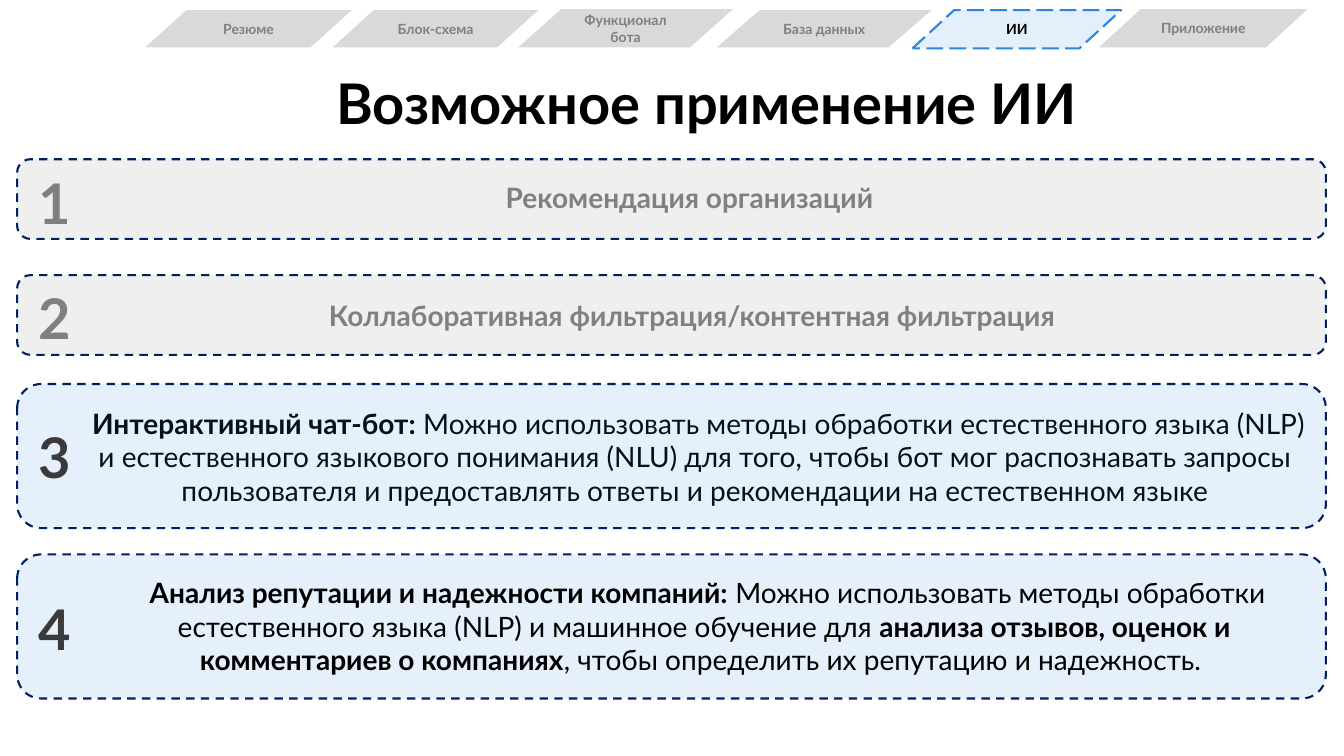
"""Build the slide on possible uses of AI, with its section tabs and four numbered cards."""
from dataclasses import dataclass
from typing import Optional

from lxml import etree
from pptx import Presentation
from pptx import util as u
from pptx.dml import color
from pptx.enum import dml, shapes, text
from pptx.oxml import ns

FONT = "Lato"
BLACK, GRAY, DARK, NAVY, BLUE, SILVER = "000000", "808080", "3A3A3A", "002060", "2D86DC", "D9D9D9"
CARD_LEFT, CARD_WIDTH = 0.17, 12.98
NUMBER_LEFT, NUMBER_WIDTH, NUMBER_HEIGHT = 0.28, 0.53, 0.77


@dataclass(frozen=True)
class Area:
    left: float
    top: float
    width: float
    height: float

    def lengths(self) -> tuple:
        return tuple(u.Inches(n) for n in (self.left, self.top, self.width, self.height))


@dataclass(frozen=True)
class Span:
    words: str
    bold: bool = True


@dataclass(frozen=True)
class Tab:
    label: str
    area: Area
    active: bool = False


@dataclass(frozen=True)
class Card:
    top: float
    height: float
    tint: str
    number_top: float
    number_color: str
    text_area: Area
    text_color: str
    spans: tuple[Span, ...]
    centered: bool = True
    text_behind: bool = False


TABS = (
    Tab("Резюме", Area(1.44, 0.1, 2.05, 0.37)),
    Tab("Блок-схема", Area(3.3, 0.1, 2.04, 0.37)),
    Tab("Функционал\nбота", Area(5.14, 0.09, 2.13, 0.38)),
    Tab("База данных", Area(7.11, 0.1, 2.13, 0.37)),
    Tab("ИИ", Area(9.05, 0.1, 2.07, 0.38), active=True),
    Tab("Приложение", Area(10.9, 0.09, 2.07, 0.38)),
)

CARDS = (
    Card(1.58, 0.79, GRAY, 1.62, GRAY, Area(4.85, 1.74, 5.7, 0.44), GRAY,
         (Span(" Рекомендация организаций"),), centered=False),
    Card(2.73, 0.79, GRAY, 2.76, GRAY, Area(0.8, 2.91, 12.13, 0.44), GRAY,
         (Span("Коллаборативная фильтрация/контентная фильтрация"),)),
    Card(3.81, 1.43, BLUE, 4.14, DARK, Area(0.7, 3.98, 12.39, 1.11), BLACK,
         (Span(" Интерактивный чат-бот:"),
          Span(" Можно использовать методы обработки естественного языка (NLP) "
               "и естественного языкового понимания (NLU) для того, чтобы бот мог "
               "распознавать запросы пользователя и предоставлять ответы и "
               "рекомендации на естественном языке", False)), text_behind=True),
    Card(5.5, 1.43, BLUE, 5.85, DARK, Area(0.88, 5.66, 12.21, 1.11), BLACK,
         (Span(" Анализ репутации и надежности компаний:"),
          Span(" Можно использовать методы обработки естественного языка (NLP) "
               "и машинное обучение для ", False),
          Span("анализа отзывов, оценок и комментариев о компаниях"),
          Span(", чтобы определить их репутацию и надежность. ", False))),
)


def rgb(value: str) -> color.RGBColor:
    return color.RGBColor.from_string(value)


def style(run, size: float, hue: str, bold: bool = True) -> None:
    run.font.name = FONT
    run.font.size = u.Pt(size)
    run.font.bold = bold
    run.font.color.rgb = rgb(hue)


def add_text(page, area: Area, spans: tuple[Span, ...], size: float, hue: str,
             centered: bool = False, wrap: bool = True) -> None:
    frame = page.shapes.add_textbox(*area.lengths()).text_frame
    frame.word_wrap = wrap
    frame.auto_size = text.MSO_AUTO_SIZE.SHAPE_TO_FIT_TEXT
    para = frame.paragraphs[0]
    para.alignment = text.PP_ALIGN.CENTER if centered else text.PP_ALIGN.LEFT
    for span in spans:
        run = para.add_run()
        run.text = span.words
        style(run, size, hue, span.bold)


def add_box(page, kind, area: Area, fill: str, opacity: int = 100,
            outline: Optional[str] = None, dash=dml.MSO_LINE.DASH):
    box = page.shapes.add_shape(kind, *area.lengths())
    box.shadow.inherit = False
    box.fill.solid()
    box.fill.fore_color.rgb = rgb(fill)
    if opacity < 100:
        tint = box.element.spPr.find(ns.qn("a:solidFill"))[0]
        etree.SubElement(tint, ns.qn("a:alpha"), val=str(opacity * 1000))
    if outline:
        box.line.color.rgb = rgb(outline)
        box.line.width = u.Pt(1.5)
        box.line.dash_style = dash
    else:
        box.line.fill.background()
    return box


def add_card(page, number: int, card: Card) -> None:
    def write() -> None:
        add_text(page, card.text_area, card.spans, 20, card.text_color, card.centered)

    if card.text_behind:
        write()
    add_box(page, shapes.MSO_SHAPE.ROUNDED_RECTANGLE,
            Area(CARD_LEFT, card.top, CARD_WIDTH, card.height), card.tint, 12, NAVY)
    if not card.text_behind:
        write()
    add_text(page, Area(NUMBER_LEFT, card.number_top, NUMBER_WIDTH, NUMBER_HEIGHT),
             (Span(str(number)),), 40, card.number_color)


def add_tab(page, tab: Tab) -> None:
    kind = shapes.MSO_SHAPE.FLOWCHART_DATA
    if tab.active:
        box = add_box(page, kind, tab.area, BLUE, 13, BLUE, dml.MSO_LINE.LONG_DASH)
    else:
        box = add_box(page, kind, tab.area, SILVER)
    frame = box.text_frame
    frame.text = tab.label
    frame.vertical_anchor = text.MSO_ANCHOR.MIDDLE
    for para in frame.paragraphs:
        para.alignment = text.PP_ALIGN.CENTER
        for run in para.runs:
            style(run, 10, BLACK if tab.active else GRAY)


def main() -> None:
    deck = Presentation()
    deck.slide_width, deck.slide_height = u.Inches(13.33), u.Inches(7.5)
    page = deck.slides.add_slide(deck.slide_layouts[6])
    add_text(page, Area(3.24, 0.63, 7.66, 0.77), (Span("Возможное применение ИИ"),),
             40, BLACK, wrap=False)
    for number, card in enumerate(CARDS, start=1):
        add_card(page, number, card)
    for tab in TABS:
        add_tab(page, tab)
    deck.save("out.pptx")


if __name__ == "__main__":
    main()
